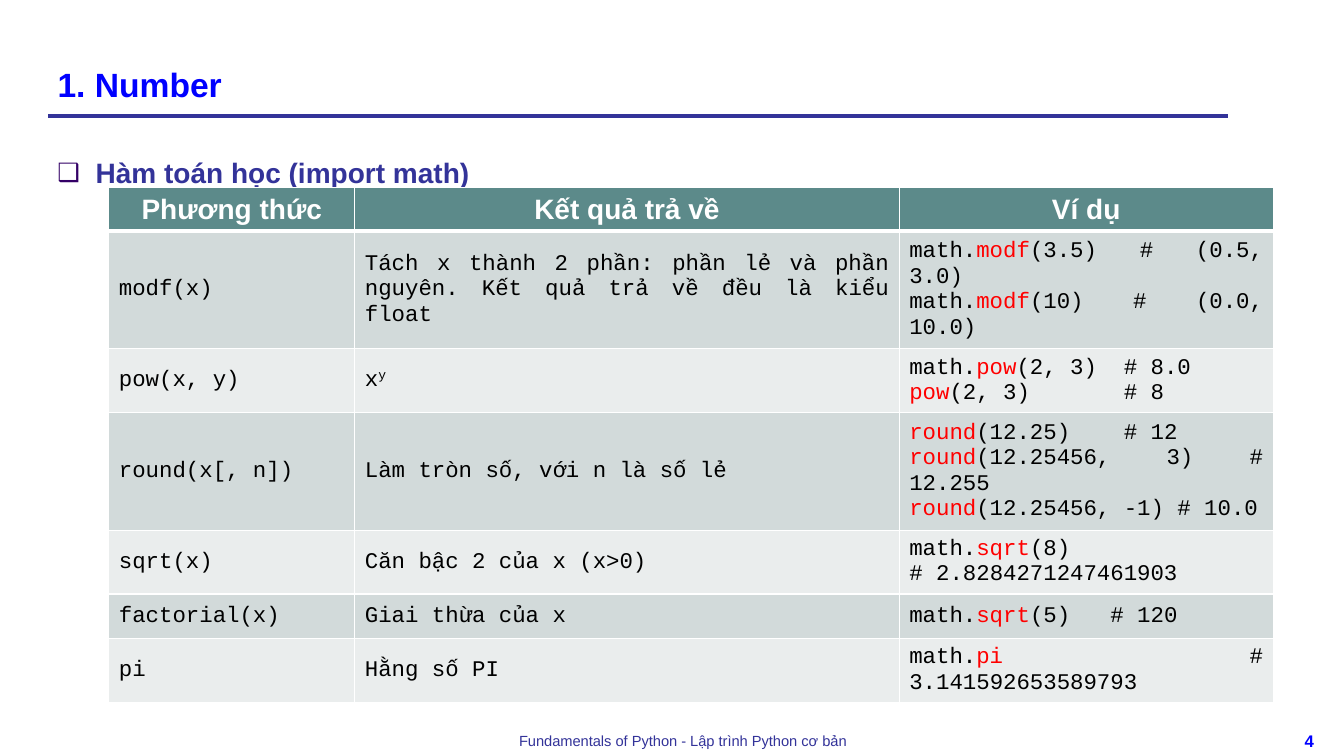
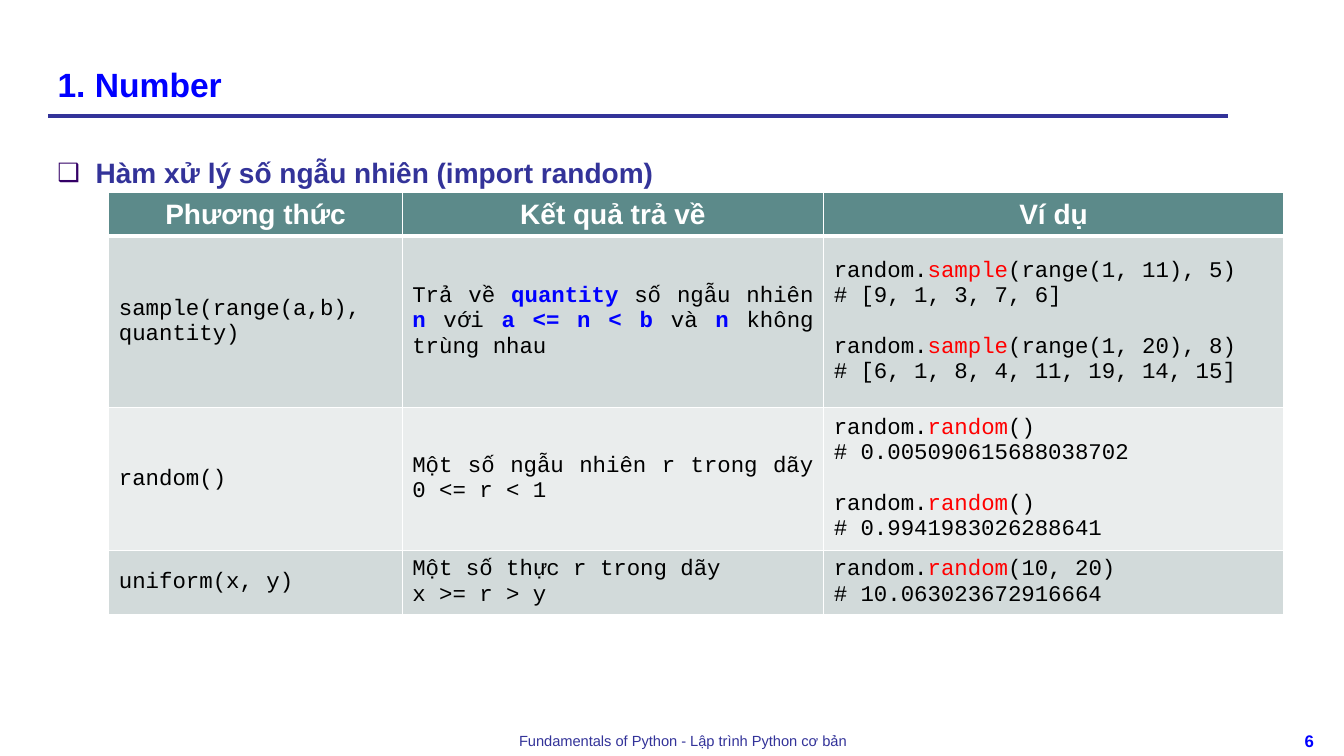
from dataclasses import dataclass

from lxml.etree import SubElement
from pptx import Presentation
from pptx.dml.color import RGBColor
from pptx.enum.shapes import MSO_CONNECTOR
from pptx.enum.text import MSO_ANCHOR, PP_ALIGN
from pptx.oxml.ns import qn
from pptx.util import Inches, Pt

SLIDE_WIDTH = Inches(13.33)
SLIDE_HEIGHT = Inches(7.5)

WHITE = RGBColor(0xFF, 0xFF, 0xFF)
BLACK = RGBColor(0x00, 0x00, 0x00)
BLUE = RGBColor(0x00, 0x00, 0xFF)
RED = RGBColor(0xFF, 0x00, 0x00)
INDIGO = RGBColor(0x33, 0x33, 0x99)
PURPLE = RGBColor(0x33, 0x00, 0x66)
TEAL = RGBColor(0x5C, 0x8A, 0x8A)
ROW_FILLS = (RGBColor(0xD2, 0xDA, 0xDA), RGBColor(0xEA, 0xED, 0xED))

TITLE_ONLY = 5
TITLE = "1. Number"
FOOTER = "Fundamentals of Python - Lập trình Python cơ bản"
HEADINGS = ("Phương thức", "Kết quả trả về", "Ví dụ")
ACCENT_MARK = "|"
GROUP_GAP = Pt(18)
TABLE_LEFT = 8.1
RULE_LEFT, RULE_RIGHT, RULE_TOP = 3.6, 91.37, 15.33


@dataclass(frozen=True)
class Frame:
    left: float
    top: float
    width: float
    height: float

    def lengths(self) -> tuple[int, int, int, int]:
        return (across(self.left), down(self.top), across(self.width), down(self.height))


@dataclass(frozen=True)
class TextStyle:
    size: float
    color: RGBColor
    font: str = "Arial"
    bold: bool = False
    baseline: int = 0


@dataclass(frozen=True)
class Method:
    height: float
    signature: str
    result: str
    examples: str
    result_accent: TextStyle


@dataclass(frozen=True)
class Page:
    number: int
    topic: str
    table_top: float
    columns: tuple[float, float, float]
    header_height: float
    methods: tuple[Method, ...]


TITLE_FRAME = Frame(3.53, 2.8, 86.65, 11.6)
TOPIC_FRAME = Frame(3.53, 17.73, 86.65, 8)
FOOTER_FRAME = Frame(24.16, 96.13, 53.34, 3.87)
NUMBER_FRAME = Frame(95.05, 96, 4.73, 4)

TITLE_STYLE = TextStyle(24, BLUE, bold=True)
TOPIC_STYLE = TextStyle(20, INDIGO, bold=True)
FOOTER_STYLE = TextStyle(10.5, INDIGO)
NUMBER_STYLE = TextStyle(12, BLUE, bold=True)
HEADING_STYLE = TextStyle(20, WHITE, bold=True)
CODE = TextStyle(16, BLACK, "Courier New")
CALL = TextStyle(16, RED, "Courier New")
KEYWORD = TextStyle(16, BLUE, "Courier New", bold=True)
EXPONENT = TextStyle(16, BLACK, "Courier New", baseline=30000)

PAGES = (
    Page(4, "Hàm toán học (import math)", 24.8, (18.3, 40.51, 27.83), 5.47, (
        Method(14.8, "modf(x)",
               "Tách x thành 2 phần: phần lẻ và phần nguyên. Kết quả trả về đều là kiểu float",
               "math.|modf|(3.5) # (0.5, 3.0)\nmath.|modf|(10) # (0.0, 10.0)", KEYWORD),
        Method(8.27, "pow(x, y)", "x|y|",
               "math.|pow|(2, 3)  # 8.0\n|pow|(2, 3)       # 8", EXPONENT),
        Method(14.8, "round(x[, n])", "Làm tròn số, với n là số lẻ",
               "|round|(12.25)    # 12\n|round|(12.25456, 3) # 12.255\n"
               "|round|(12.25456, -1) # 10.0", KEYWORD),
        Method(8.27, "sqrt(x)", "Căn bậc 2 của x (x>0)",
               "math.|sqrt|(8)\n# 2.8284271247461903", KEYWORD),
        Method(5.87, "factorial(x)", "Giai thừa của x", "math.|sqrt|(5)   # 120", KEYWORD),
        Method(8.13, "pi", "Hằng số PI", "math.|pi| # 3.141592653589793", KEYWORD),
    )),
    Page(6, "Hàm xử lý số ngẫu nhiên (import random)", 25.47, (21.83, 31.36, 34.21), 5.73, (
        Method(22.67, "sample(range(a,b), quantity)",
               "Trả về |quantity| số ngẫu nhiên |n| với |a <= n < b |và |n| không trùng nhau",
               "random.|sample|(range(1, 11), 5)\n# [9, 1, 3, 7, 6]\n\n"
               "random.|sample|(range(1, 20), 8)\n# [6, 1, 8, 4, 11, 19, 14, 15]", KEYWORD),
        Method(18.13, "random()", "Một số ngẫu nhiên r trong dãy \n0 <= r < 1",
               "random.|random|()\n# 0.005090615688038702\n\n"
               "random.|random|()\n# 0.9941983026288641", KEYWORD),
        Method(8.13, "uniform(x, y)", "Một số thực r trong dãy \nx >= r > y",
               "random.|random|(10, 20)\n# 10.063023672916664", KEYWORD),
    )),
)


def across(percent: float) -> int:
    return round(SLIDE_WIDTH * percent / 100)


def down(percent: float) -> int:
    return round(SLIDE_HEIGHT * percent / 100)


def style_span(span, style: TextStyle) -> None:
    span.font.name = style.font
    span.font.size = Pt(style.size)
    span.font.bold = style.bold
    span.font.color.rgb = style.color
    if style.baseline:
        span._r.get_or_add_rPr().set("baseline", str(style.baseline))


def set_text(frame, text: str, style: TextStyle, alignment: PP_ALIGN):
    frame.text = text
    para = frame.paragraphs[0]
    para.alignment = alignment
    for span in para.runs:
        style_span(span, style)
    return para


def add_text(slide, place: Frame, text: str, style: TextStyle, alignment: PP_ALIGN):
    box = slide.shapes.add_textbox(*place.lengths())
    box.text_frame.word_wrap = True
    return set_text(box.text_frame, text, style, alignment)


def add_bullet(para) -> None:
    properties = para._p.get_or_add_pPr()
    indent = Inches(0.38)
    properties.set("marL", str(indent))
    properties.set("indent", str(-indent))
    color = SubElement(properties, qn("a:buClr"))
    SubElement(color, qn("a:srgbClr"), val=str(PURPLE))
    SubElement(properties, qn("a:buSzPct"), val="90000")
    SubElement(properties, qn("a:buFont"), typeface="Arial")
    SubElement(properties, qn("a:buChar"), char="❑")


def add_rule(slide) -> None:
    rule = slide.shapes.add_connector(
        MSO_CONNECTOR.STRAIGHT,
        across(RULE_LEFT), down(RULE_TOP), across(RULE_RIGHT), down(RULE_TOP))
    rule.line.color.rgb = INDIGO
    rule.line.width = Pt(3)
    SubElement(rule._element.spPr, qn("a:effectLst"))


def format_cell(cell, fill: RGBColor, top: float, bottom: float) -> None:
    properties = cell._tc.get_or_add_tcPr()
    for side, width in (("L", 1), ("R", 1), ("T", top), ("B", bottom)):
        border = SubElement(properties, qn(f"a:ln{side}"), w=str(Pt(width)))
        paint = SubElement(border, qn("a:solidFill"))
        SubElement(paint, qn("a:srgbClr"), val=str(WHITE))
    cell.fill.solid()
    cell.fill.fore_color.rgb = fill
    cell.vertical_anchor = MSO_ANCHOR.MIDDLE


def write_code(cell, text: str, accent: TextStyle, alignment: PP_ALIGN) -> None:
    frame = cell.text_frame
    para = None
    for group_index, group in enumerate(text.split("\n\n")):
        for line_index, line in enumerate(group.split("\n")):
            para = frame.paragraphs[0] if para is None else frame.add_paragraph()
            para.alignment = alignment
            if group_index and line_index == 0:
                para.space_before = GROUP_GAP
            for index, part in enumerate(line.split(ACCENT_MARK)):
                if part:
                    span = para.add_run()
                    span.text = part
                    style_span(span, accent if index % 2 else CODE)


def add_method_table(slide, page: Page) -> None:
    heights = (page.header_height, *(method.height for method in page.methods))
    place = Frame(TABLE_LEFT, page.table_top, sum(page.columns), sum(heights))
    table = slide.shapes.add_table(len(heights), len(page.columns), *place.lengths()).table
    for column, width in zip(table.columns, page.columns):
        column.width = across(width)
    for row, height in zip(table.rows, heights):
        row.height = down(height)
    for cell, heading in zip(table.rows[0].cells, HEADINGS):
        format_cell(cell, TEAL, 1, 3)
        set_text(cell.text_frame, heading, HEADING_STYLE, PP_ALIGN.CENTER)
    for index, method in enumerate(page.methods):
        contents = (
            (method.signature, CODE, PP_ALIGN.LEFT),
            (method.result, method.result_accent, PP_ALIGN.JUSTIFY),
            (method.examples, CALL, PP_ALIGN.JUSTIFY),
        )
        for cell, content in zip(table.rows[index + 1].cells, contents):
            format_cell(cell, ROW_FILLS[index % 2], 1 if index else 3, 1)
            write_code(cell, *content)


def add_page(deck, page: Page) -> None:
    slide = deck.slides.add_slide(deck.slide_layouts[TITLE_ONLY])
    add_rule(slide)
    add_text(slide, FOOTER_FRAME, FOOTER, FOOTER_STYLE, PP_ALIGN.CENTER)
    add_text(slide, NUMBER_FRAME, str(page.number), NUMBER_STYLE, PP_ALIGN.CENTER)
    title = slide.shapes.title
    title.left, title.top, title.width, title.height = TITLE_FRAME.lengths()
    title.text_frame.vertical_anchor = MSO_ANCHOR.BOTTOM
    set_text(title.text_frame, TITLE, TITLE_STYLE, PP_ALIGN.LEFT)
    topic = add_text(slide, TOPIC_FRAME, page.topic, TOPIC_STYLE, PP_ALIGN.LEFT)
    topic.line_spacing = 1.5
    add_bullet(topic)
    add_method_table(slide, page)


def main() -> None:
    deck = Presentation()
    deck.slide_width = SLIDE_WIDTH
    deck.slide_height = SLIDE_HEIGHT
    for page in PAGES:
        add_page(deck, page)
    deck.save("out.pptx")


if __name__ == "__main__":
    main()
